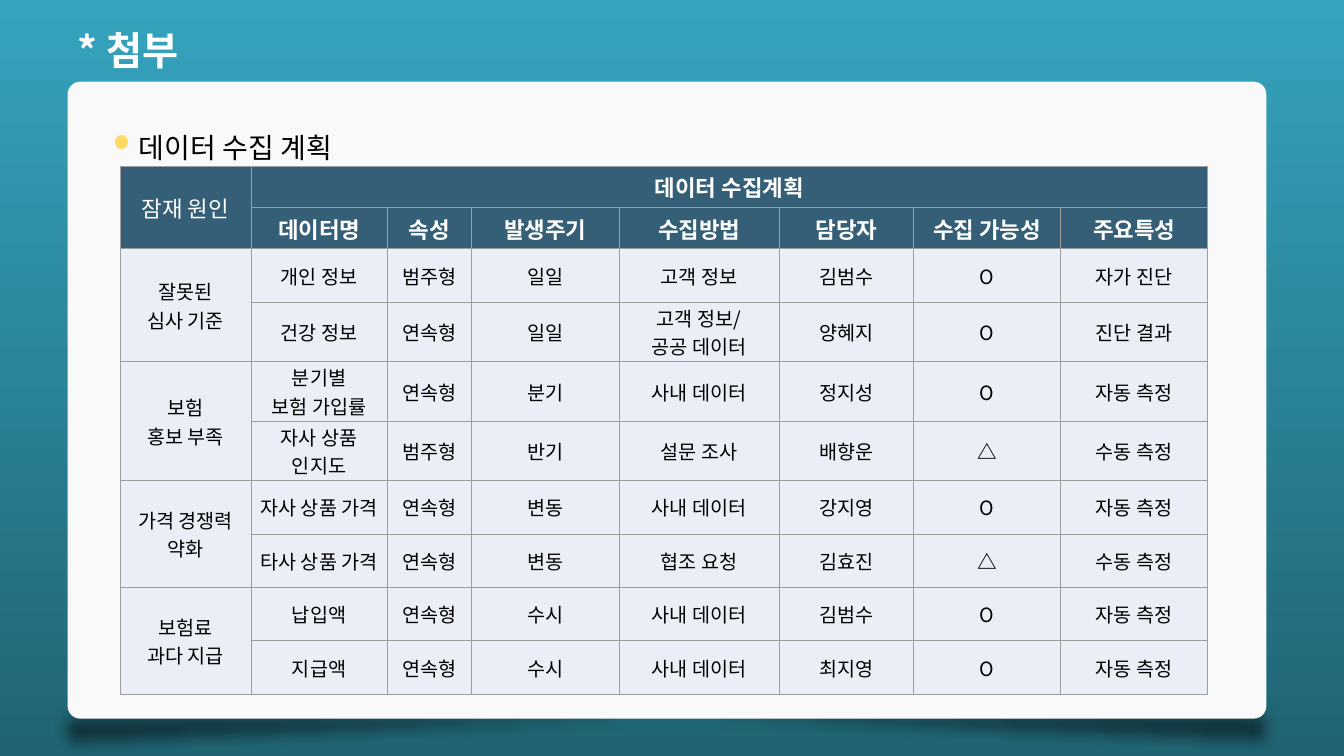
from dataclasses import dataclass

from lxml.etree import SubElement
from pptx import Presentation
from pptx.dml.color import RGBColor
from pptx.enum.shapes import MSO_SHAPE
from pptx.enum.text import MSO_ANCHOR, PP_ALIGN
from pptx.oxml import parse_xml
from pptx.oxml.ns import nsdecls, qn
from pptx.util import Inches, Pt


@dataclass(frozen=True)
class Theme:
    font: str = "Noto Sans CJK KR"
    sky: str = "35A3BD"
    deep: str = "206473"
    panel: str = "F9F9F9"
    bullet: str = "FFD966"
    header: str = "355F77"
    body: str = "EAEFF7"
    border: str = "9E9E9E"
    white: str = "FFFFFF"
    black: str = "000000"
    title_size: int = 28
    subtitle_size: int = 20
    header_size: int = 16
    body_size: int = 14


THEME = Theme()

COLUMN_WIDTHS = [1.3, 1.35, 0.84, 1.46, 1.59, 1.33, 1.46, 1.46]
# Rows whose cells hold two lines of text are taller
HEADER_HEIGHT, ONE_LINE, TWO_LINES = 0.41, 0.53, 0.59
ROW_HEIGHTS = [HEADER_HEIGHT] * 2 + [ONE_LINE] + [TWO_LINES] * 3 + [ONE_LINE] * 4
HEADINGS = ["데이터명", "속성", "발생주기", "수집방법", "담당자", "수집 가능성", "주요특성"]

# Each cause covers the data rows listed under it
PLAN = {
    "잘못된\n심사 기준": [
        ["개인 정보", "범주형", "일일", "고객 정보", "김범수", "O", "자가 진단"],
        ["건강 정보", "연속형", "일일", "고객 정보/\n공공 데이터", "양혜지", "O", "진단 결과"],
    ],
    "보험\n홍보 부족": [
        ["분기별\n보험 가입률", "연속형", "분기", "사내 데이터", "정지성", "O", "자동 측정"],
        ["자사 상품 인지도", "범주형", "반기", "설문 조사", "배향운", "△", "수동 측정"],
    ],
    "가격 경쟁력 약화": [
        ["자사 상품 가격", "연속형", "변동", "사내 데이터", "강지영", "O", "자동 측정"],
        ["타사 상품 가격", "연속형", "변동", "협조 요청", "김효진", "△", "수동 측정"],
    ],
    "보험료\n과다 지급": [
        ["납입액", "연속형", "수시", "사내 데이터", "김범수", "O", "자동 측정"],
        ["지급액", "연속형", "수시", "사내 데이터", "최지영", "O", "자동 측정"],
    ],
}


def set_text(frame, text, size, color, bold=False, align=PP_ALIGN.LEFT, spacing=None):
    frame.text = text
    frame.word_wrap = True
    for paragraph in frame.paragraphs:
        paragraph.alignment = align
        if spacing:
            paragraph.line_spacing = spacing
        font = paragraph.font
        font.name, font.size, font.bold = THEME.font, Pt(size), bold
        font.color.rgb = RGBColor.from_string(color)
        # Hangul takes the East Asian typeface
        properties = paragraph._p.pPr.find(qn("a:defRPr"))
        SubElement(properties, qn("a:ea"), typeface=THEME.font)


def add_text(slide, left, top, width, height, text, size, color, **options):
    box = slide.shapes.add_textbox(Inches(left), Inches(top), Inches(width), Inches(height))
    set_text(box.text_frame, text, size, color, **options)


def add_figure(slide, preset, left, top, width, height, color):
    shape = slide.shapes.add_shape(
        preset, Inches(left), Inches(top), Inches(width), Inches(height))
    shape.shadow.inherit = False
    shape.fill.solid()
    shape.fill.fore_color.rgb = RGBColor.from_string(color)
    shape.line.fill.background()
    return shape


def add_soft_wedge(slide, left, top, mirrored):
    wedge = add_figure(slide, MSO_SHAPE.RIGHT_TRIANGLE, left, top, 12.02, 0.5, THEME.black)
    properties = wedge._element.spPr
    properties.xfrm.set("flipV", "1")
    if mirrored:
        properties.xfrm.set("flipH", "1")
    fill_color = properties.find(qn("a:solidFill")).find(qn("a:srgbClr"))
    SubElement(fill_color, qn("a:alpha"), val="51000")
    effects = properties.find(qn("a:effectLst"))
    SubElement(effects, qn("a:softEdge"), rad=str(Inches(0.14)))


def style_cell(cell, color):
    cell.margin_left = cell.margin_right = Inches(0.01)
    cell.margin_top = cell.margin_bottom = Inches(0.01)
    cell.vertical_anchor = MSO_ANCHOR.MIDDLE
    cell.fill.solid()
    cell.fill.fore_color.rgb = RGBColor.from_string(color)
    properties = cell._tc.get_or_add_tcPr()
    for position, side in enumerate(["lnL", "lnR", "lnT", "lnB"]):
        properties.insert(position, parse_xml(
            f'<a:{side} {nsdecls("a")} w="{Pt(0.75)}"><a:solidFill>'
            f'<a:srgbClr val="{THEME.border}"/></a:solidFill></a:{side}>'))


def write_header(cell, text, bold=True):
    set_text(cell.text_frame, text, THEME.header_size, THEME.white, bold, PP_ALIGN.CENTER)


def write_body(cell, text):
    set_text(cell.text_frame, text, THEME.body_size, THEME.black, text == "△", PP_ALIGN.CENTER)


def add_plan_table(slide, left, top):
    table = slide.shapes.add_table(
        len(ROW_HEIGHTS), len(COLUMN_WIDTHS), Inches(left), Inches(top),
        Inches(sum(COLUMN_WIDTHS)), Inches(sum(ROW_HEIGHTS))).table
    for column, width in zip(table.columns, COLUMN_WIDTHS):
        column.width = Inches(width)
    for index, height in enumerate(ROW_HEIGHTS):
        table.rows[index].height = Inches(height)
        for cell in table.rows[index].cells:
            style_cell(cell, THEME.header if index < 2 else THEME.body)

    # Two-level header
    table.cell(0, 0).merge(table.cell(1, 0))
    table.cell(0, 1).merge(table.cell(0, len(HEADINGS)))
    write_header(table.cell(0, 0), "잠재 원인", bold=False)
    write_header(table.cell(0, 1), "데이터 수집계획")
    for column, heading in enumerate(HEADINGS, start=1):
        write_header(table.cell(1, column), heading)

    # Causes and their data
    first = 2
    for cause, rows in PLAN.items():
        table.cell(first, 0).merge(table.cell(first + len(rows) - 1, 0))
        write_body(table.cell(first, 0), cause)
        for row, values in enumerate(rows, start=first):
            for column, value in enumerate(values, start=1):
                write_body(table.cell(row, column), value)
        first += len(rows)


def paint_background(slide):
    fill = slide.background.fill
    fill.gradient()
    fill.gradient_angle = 270
    for stop, color in zip(fill.gradient_stops, [THEME.sky, THEME.deep]):
        stop.color.rgb = RGBColor.from_string(color)


def main():
    presentation = Presentation()
    presentation.slide_width, presentation.slide_height = Inches(13.33), Inches(7.5)
    slide = presentation.slides.add_slide(presentation.slide_layouts[6])
    paint_background(slide)

    # Panel with lifted corners
    add_soft_wedge(slide, 0.65, 6.98, mirrored=True)
    add_soft_wedge(slide, 0.54, 7, mirrored=False)
    panel = add_figure(slide, MSO_SHAPE.ROUNDED_RECTANGLE, 0.67, 0.81, 11.89, 6.32, THEME.panel)
    panel.adjustments[0] = 0.02

    # Subtitle and table
    add_figure(slide, MSO_SHAPE.OVAL, 1.14, 1.34, 0.13, 0.14, THEME.bullet)
    add_text(slide, 1.28, 1.08, 4.68, 0.57, "데이터 수집 계획",
             THEME.subtitle_size, THEME.black, spacing=1.5)
    add_plan_table(slide, 1.19, 1.65)

    # Title
    add_text(slide, 0.67, 0.21, 7.52, 0.57, "* 첨부",
             THEME.title_size, THEME.white, bold=True)
    presentation.save("out.pptx")


if __name__ == "__main__":
    main()
